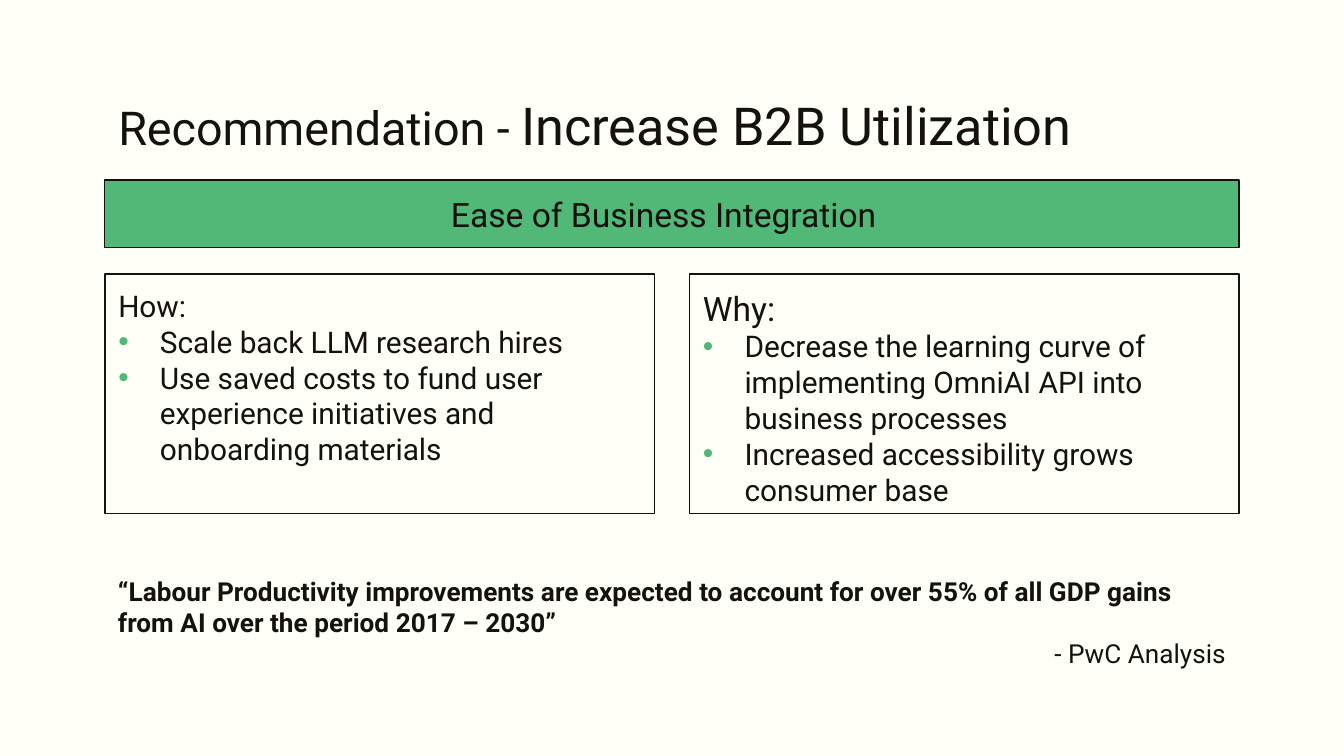
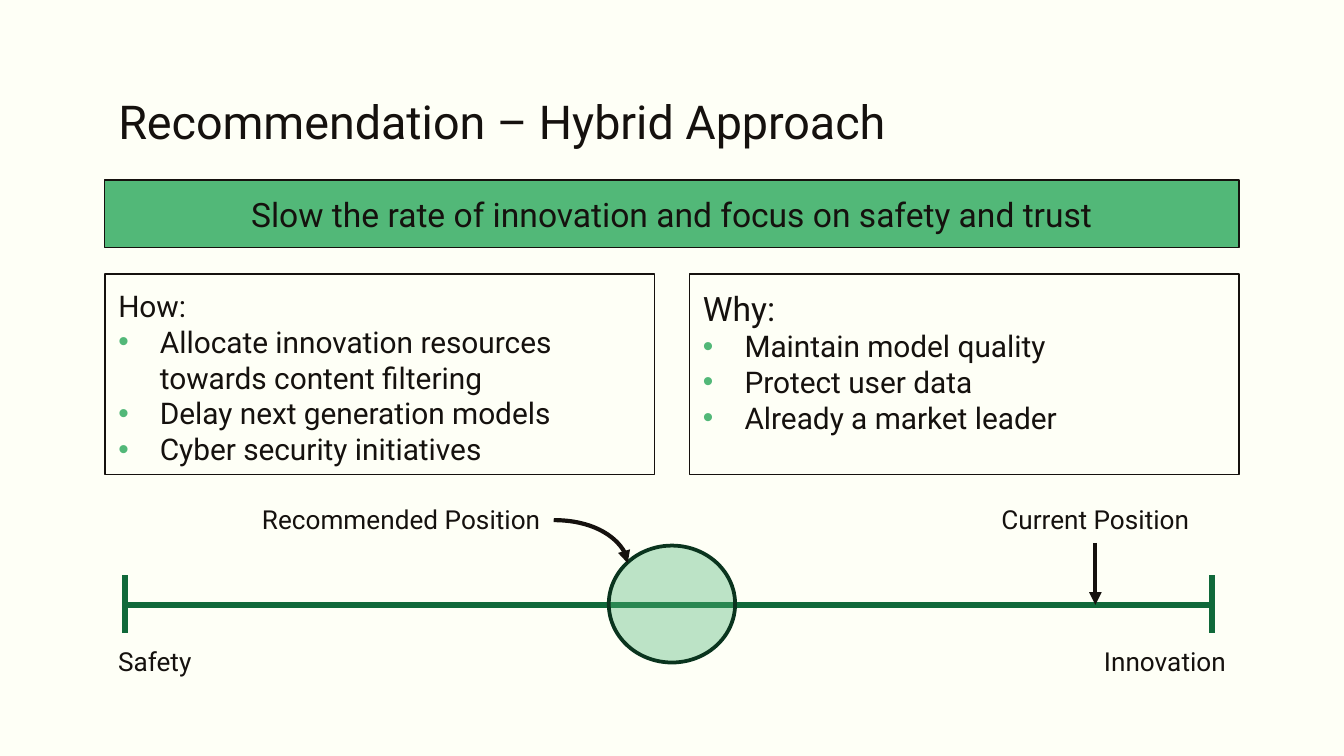
from dataclasses import dataclass

from lxml.etree import SubElement
from pptx import Presentation
from pptx.dml.color import RGBColor
from pptx.enum.shapes import MSO_CONNECTOR, MSO_SHAPE
from pptx.enum.text import MSO_ANCHOR, MSO_AUTO_SIZE, PP_ALIGN
from pptx.oxml.ns import qn
from pptx.util import Inches, Pt

# Shared look
FONT = "Roboto"
INK, PAPER = "15110E", "FEFFF6"
GREEN, AXIS_GREEN, DARK_GREEN = "52B878", "10693A", "0A341E"
SLIDE_WIDTH = 10
SLIDE_HEIGHT = SLIDE_WIDTH * 9 / 16
LEFT, WIDTH = 0.78, 8.44
RIGHT = LEFT + WIDTH
PANEL_TOP, PANEL_WIDTH = 2.04, 4.09
INSET = 0.1
TWO_CONTENT_LAYOUT = 3


@dataclass
class Panel:
    heading: str
    heading_size: int
    points: list[str]


@dataclass
class Recommendation:
    title: list[tuple[str, int]]
    band: str
    panels: list[Panel]
    panel_height: float
    band_right_inset: float = INSET


@dataclass
class Label:
    text: str
    left: float
    top: float
    width: float
    align: PP_ALIGN


RECOMMENDATIONS = [
    Recommendation(
        [("Recommendation - ", 25), ("Increase B2B Utilization", 28)],
        "Ease of Business Integration",
        [
            Panel("How:", 16, [
                "Scale back LLM research hires",
                "Use saved costs to fund user experience initiatives and onboarding materials",
            ]),
            Panel("Why:", 18, [
                "Decrease the learning curve of implementing OmniAI API into business processes",
                "Increased accessibility grows consumer base",
            ]),
        ],
        1.78,
        band_right_inset=0.22,
    ),
    Recommendation(
        [("Recommendation – Hybrid Approach", 25)],
        "Slow the rate of innovation and focus on safety and trust",
        [
            Panel("How:", 16, [
                "Allocate innovation resources towards content filtering",
                "Delay next generation models",
                "Cyber security initiatives",
            ]),
            Panel("Why:", 18, [
                "Maintain model quality",
                "Protect user data",
                "Already a market leader",
            ]),
        ],
        1.49,
    ),
]

AXIS_LABELS = [
    Label("Safety", LEFT, 4.75, 0.81, PP_ALIGN.LEFT),
    Label("Innovation", RIGHT - 1.41, 4.75, 1.41, PP_ALIGN.RIGHT),
    Label("Current Position", 7.11, 3.7, 2.08, PP_ALIGN.CENTER),
    Label("Recommended Position", 1.68, 3.7, 2.44, PP_ALIGN.RIGHT),
]


def rgb(value: str) -> RGBColor:
    return RGBColor.from_string(value)


def place(shape, left: float, top: float, width: float, height: float) -> None:
    shape.left, shape.top = Inches(left), Inches(top)
    shape.width, shape.height = Inches(width), Inches(height)


def style_font(font, size: int, bold: bool = False) -> None:
    font.name, font.size, font.bold = FONT, Pt(size), bold
    font.color.rgb = rgb(INK)


def style_line(line, color: str, width: float) -> None:
    line.color.rgb = rgb(color)
    line.width = Pt(width)


def set_frame(frame, anchor: MSO_ANCHOR) -> None:
    frame.word_wrap = True
    frame.auto_size = MSO_AUTO_SIZE.NONE
    frame.vertical_anchor = anchor
    frame.margin_left = frame.margin_right = Inches(INSET)
    frame.margin_top = frame.margin_bottom = Inches(INSET)


def set_bullet(paragraph, bulleted: bool) -> None:
    properties = paragraph._p.get_or_add_pPr()
    indent = Inches(0.31) if bulleted else 0
    properties.set("marL", str(indent))
    properties.set("indent", str(-indent))
    if bulleted:
        color = SubElement(properties, qn("a:buClr"))
        SubElement(color, qn("a:srgbClr"), val=GREEN)
        SubElement(properties, qn("a:buFont"), typeface="Arial")
        SubElement(properties, qn("a:buChar"), char="•")
    else:
        SubElement(properties, qn("a:buNone"))


def add_title(slide, parts: list[tuple[str, int]]) -> None:
    title = slide.shapes.title
    place(title, LEFT, 0.59, WIDTH, 0.6)
    set_frame(title.text_frame, MSO_ANCHOR.TOP)
    paragraph = title.text_frame.paragraphs[0]
    paragraph.alignment = PP_ALIGN.LEFT
    for text, size in parts:
        run = paragraph.add_run()
        run.text = text
        style_font(run.font, size)


def add_band(slide, text: str, right_inset: float) -> None:
    band = slide.shapes.add_shape(
        MSO_SHAPE.RECTANGLE, Inches(LEFT), Inches(1.34), Inches(WIDTH), Inches(0.5))
    band.shadow.inherit = False
    band.fill.solid()
    band.fill.fore_color.rgb = rgb(GREEN)
    style_line(band.line, INK, 0.75)
    set_frame(band.text_frame, MSO_ANCHOR.MIDDLE)
    band.text_frame.margin_right = Inches(right_inset)
    paragraph = band.text_frame.paragraphs[0]
    paragraph.text = text
    paragraph.alignment = PP_ALIGN.CENTER
    style_font(paragraph.font, 18)


def fill_panel(body, panel: Panel, left: float, height: float) -> None:
    place(body, left, PANEL_TOP, PANEL_WIDTH, height)
    style_line(body.line, INK, 0.75)
    frame = body.text_frame
    set_frame(frame, MSO_ANCHOR.TOP)
    for index, text in enumerate([panel.heading, *panel.points]):
        paragraph = frame.add_paragraph() if index else frame.paragraphs[0]
        paragraph.text = text
        set_bullet(paragraph, index > 0)
        paragraph.space_before = Pt(0)
        style_font(paragraph.font, 16 if index else panel.heading_size)


def add_recommendation(prs, content: Recommendation):
    slide = prs.slides.add_slide(prs.slide_layouts[TWO_CONTENT_LAYOUT])
    add_title(slide, content.title)
    lefts = (LEFT, RIGHT - PANEL_WIDTH)
    for index, (panel, left) in enumerate(zip(content.panels, lefts), start=1):
        fill_panel(slide.placeholders[index], panel, left, content.panel_height)
    add_band(slide, content.band, content.band_right_inset)
    return slide


def add_text(slide, left: float, top: float, width: float, height: float):
    box = slide.shapes.add_textbox(
        Inches(left), Inches(top), Inches(width), Inches(height))
    box.text_frame.word_wrap = True
    box.text_frame.auto_size = MSO_AUTO_SIZE.SHAPE_TO_FIT_TEXT
    return box.text_frame


def add_quote(slide) -> None:
    frame = add_text(slide, LEFT, 4.23, WIDTH, 0.81)
    quote = frame.paragraphs[0]
    quote.text = ("“Labour Productivity improvements are expected to account for "
                  "over 55% of all GDP gains from AI over the period 2017 – 2030”")
    style_font(quote.font, 14, bold=True)
    credit = frame.add_paragraph()
    credit.text = "- PwC Analysis"
    credit.alignment = PP_ALIGN.RIGHT
    style_font(credit.font, 14)


def add_line(shapes, start: tuple[float, float], end: tuple[float, float],
             color: str, width: float, arrow: bool = False, curved: bool = False) -> None:
    kind = MSO_CONNECTOR.CURVE if curved else MSO_CONNECTOR.STRAIGHT
    connector = shapes.add_connector(kind, *map(Inches, start + end))
    style_line(connector.line, color, width)
    properties = connector._element.spPr
    if curved:
        properties.find(qn("a:prstGeom")).set("prst", "curvedConnector2")
    if arrow:
        SubElement(connector.line._get_or_add_ln(), qn("a:tailEnd"), type="triangle")
    SubElement(properties, qn("a:effectLst"))


def add_position_scale(slide) -> None:
    start, end, level = 0.93, 9.02, 4.5
    tick_top, tick_bottom = 4.28, 4.71

    # Axis with its two end ticks
    axis = slide.shapes.add_group_shape().shapes
    add_line(axis, (start, level), (end, level), AXIS_GREEN, 3)
    for x in (start, end):
        add_line(axis, (x, tick_bottom), (x, tick_top), AXIS_GREEN, 3)

    # Pointer to the current position
    add_line(slide.shapes, (8.15, 4.04), (8.15, level), INK, 2.25, arrow=True)

    # Recommended zone with its pointer
    zone = slide.shapes.add_shape(
        MSO_SHAPE.OVAL, Inches(4.53), Inches(4.06), Inches(0.94), Inches(0.87))
    zone.shadow.inherit = False
    zone.fill.solid()
    zone.fill.fore_color.rgb = rgb(GREEN)
    zone_color = zone._element.spPr.find(qn("a:solidFill")).find(qn("a:srgbClr"))
    SubElement(zone_color, qn("a:alpha"), val="38000")
    style_line(zone.line, DARK_GREEN, 2)
    add_line(slide.shapes, (4.12, 3.87), (4.67, 4.19), INK, 2.25, arrow=True, curved=True)

    # Labels
    for label in AXIS_LABELS:
        paragraph = add_text(slide, label.left, label.top, label.width, 0.34).paragraphs[0]
        paragraph.text = label.text
        paragraph.alignment = label.align
        style_font(paragraph.font, 14)


def main() -> None:
    prs = Presentation()
    prs.slide_width, prs.slide_height = Inches(SLIDE_WIDTH), Inches(SLIDE_HEIGHT)
    background = prs.slide_master.background.fill
    background.solid()
    background.fore_color.rgb = rgb(PAPER)

    business, hybrid = [add_recommendation(prs, content) for content in RECOMMENDATIONS]
    add_quote(business)
    add_position_scale(hybrid)
    prs.save("out.pptx")


if __name__ == "__main__":
    main()
